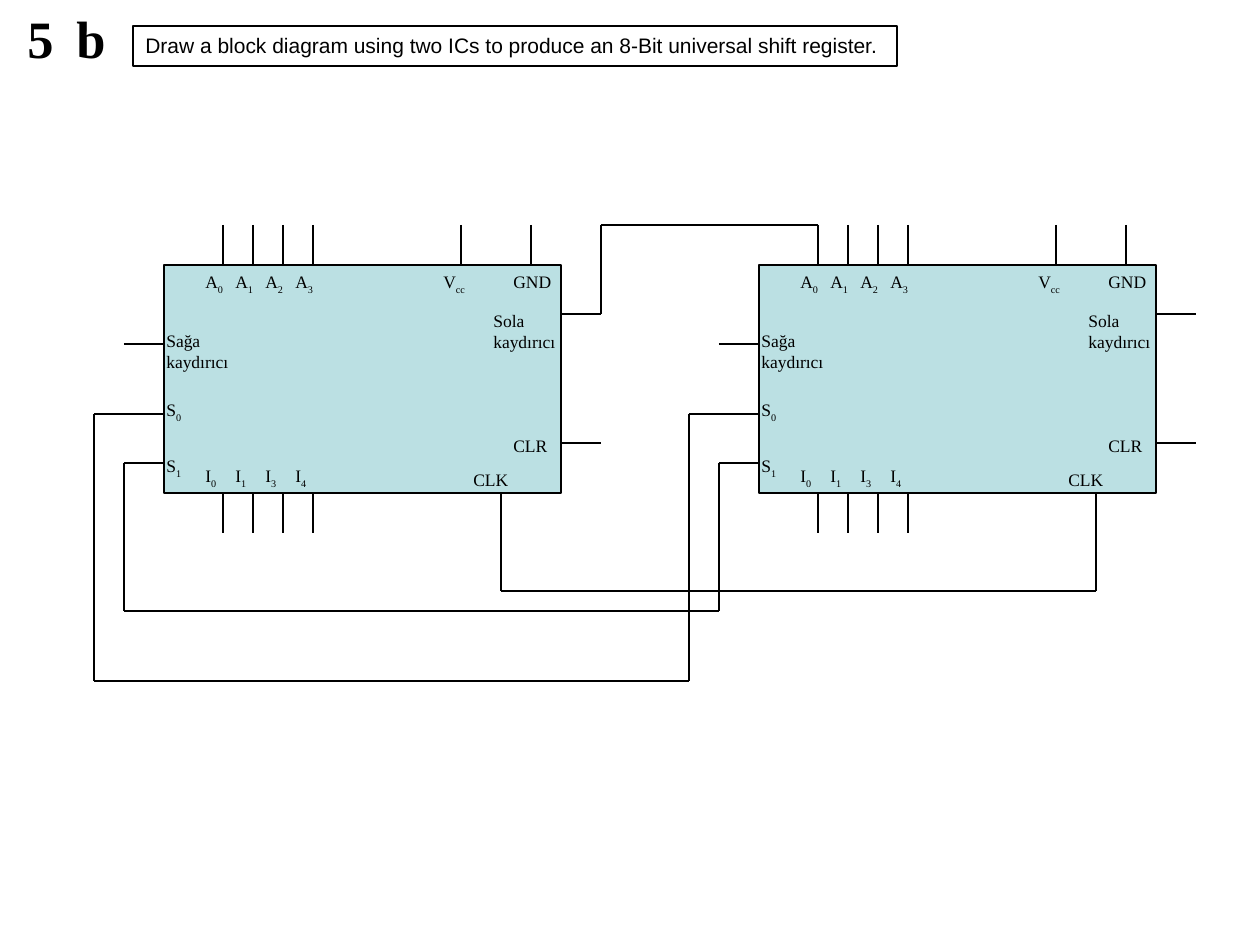
import itertools

import pptx
import pptx.dml.color
import pptx.enum.shapes
import pptx.enum.text
import pptx.oxml.ns
import pptx.util
import lxml.etree

PX = 914400 / 126  # EMU in one px
COLORS = {"ink": "000000", "chip": "BBE0E3"}
SERIF = "Times New Roman"


def px(*lengths):
    return [pptx.util.Emu(round(length * PX)) for length in lengths]


def rgb(name):
    return pptx.dml.color.RGBColor.from_string(COLORS[name])


deck = pptx.Presentation()
deck.slide_width, deck.slide_height = px(1260, 945)
page = deck.slides.add_slide(deck.slide_layouts[6])

# Layout of one chip; pins and labels are measured from its top left corner
CHIP_TOP, CHIP_WIDTH, CHIP_HEIGHT = 265, 397, 228
FIRST_CHIP, CHIP_STEP = 164, 595
PIN_LENGTH, PIN_GAP = 40, 30
bit_pins = [59 + PIN_GAP * bit for bit in range(4)]
top_pins = bit_pins + [297, 367]
left_pins = [79, 149, 198]
right_pins = [49, 178]

# Labels: text, subscript, left, top
labels = [
    ("Sağa kaydırıcı", "", -10, 59),
    ("S", "0", -10, 128),
    ("S", "1", -10, 184),
    ("V", "cc", 267, 0),
    ("GND", "", 337, 0),
    ("Sola kaydırıcı", "", 317, 39),
    ("CLR", "", 337, 164),
    ("CLK", "", 297, 198),
]
for column, (data_bit, input_bit) in enumerate(zip("0123", "0134")):
    labels.append(("A", data_bit, 29 + PIN_GAP * column, 0))
    labels.append(("I", input_bit, 29 + PIN_GAP * column, 194))

chip_lefts = [FIRST_CHIP, FIRST_CHIP + CHIP_STEP]
chip_bottom = CHIP_TOP + CHIP_HEIGHT
frames = [(left, CHIP_TOP, CHIP_WIDTH, CHIP_HEIGHT, "chip") for left in chip_lefts]
frames.append((133, 26, 764, 40, None))  # around the question

# Chips and question frame
for left, top, width, height, fill in frames:
    frame = page.shapes.add_shape(
        pptx.enum.shapes.MSO_SHAPE.RECTANGLE, *px(left, top, width, height))
    frame.shadow.inherit = False
    if fill:
        frame.fill.solid()
        frame.fill.fore_color.rgb = rgb(fill)
    else:
        frame.fill.background()
    frame.line.color.rgb = rgb("ink")
    frame.line.width = pptx.util.Pt(0.75)

# Pins of both chips
wires = []
for left in chip_lefts:
    right = left + CHIP_WIDTH
    for pin in top_pins:
        wires.append([(left + pin, CHIP_TOP - PIN_LENGTH), (left + pin, CHIP_TOP)])
    for pin in bit_pins:
        wires.append([(left + pin, chip_bottom), (left + pin, chip_bottom + PIN_LENGTH)])
    for pin in left_pins:
        wires.append([(left - PIN_LENGTH, CHIP_TOP + pin), (left, CHIP_TOP + pin)])
    for pin in right_pins:
        wires.append([(right, CHIP_TOP + pin), (right + PIN_LENGTH, CHIP_TOP + pin)])

# Wires between the chips: shift left to A0, clock, S1, S0
wires += [
    [(601, 314), (601, 225), (818, 225)],
    [(501, chip_bottom), (501, 591), (1096, 591), (1096, chip_bottom)],
    [(124, 463), (124, 611), (719, 611), (719, 463)],
    [(124, 414), (94, 414), (94, 681), (689, 681), (689, 414), (719, 414)],
]
for wire in wires:
    for start, end in itertools.pairwise(wire):
        line = page.shapes.add_connector(
            pptx.enum.shapes.MSO_CONNECTOR.STRAIGHT, *px(*start, *end))
        line.line.color.rgb = rgb("ink")
        line.line.width = pptx.util.Pt(0.75)
        lxml.etree.SubElement(
            line._element.spPr, pptx.oxml.ns.qn("a:effectLst"))

# All texts: text, subscript, left, top, width, height, size, font, bold
texts = [
    ("5", "", 15, 0, 90, 76, 30, SERIF, True),
    ("b", "", 64, 0, 90, 76, 30, SERIF, True),
    ("Draw a block diagram using two ICs to produce an 8-Bit universal shift register.",
     "", 133, 26, 1111, 38, 12, "Arial", False),
]
for chip_left, (text, subscript, left, top) in itertools.product(chip_lefts, labels):
    height = 55 if " " in text else 37 if subscript else 34
    texts.append((text, subscript, chip_left + left, CHIP_TOP + top,
                  100, height, 10, SERIF, False))

for text, subscript, left, top, width, height, size, font, bold in texts:
    box = page.shapes.add_textbox(*px(left, top, width, height))
    box.text_frame.word_wrap = True
    box.text_frame.auto_size = pptx.enum.text.MSO_AUTO_SIZE.SHAPE_TO_FIT_TEXT
    box.text_frame.text = text
    para = box.text_frame.paragraphs[0]
    if subscript:
        span = para.add_run()
        span.text = subscript
        span.font._element.set("baseline", "-25000")
    for span in para.runs:
        span.font.size = pptx.util.Pt(size)
        span.font.name = font
        span.font.bold = bold
        span.font.color.rgb = rgb("ink")

deck.save("out.pptx")
